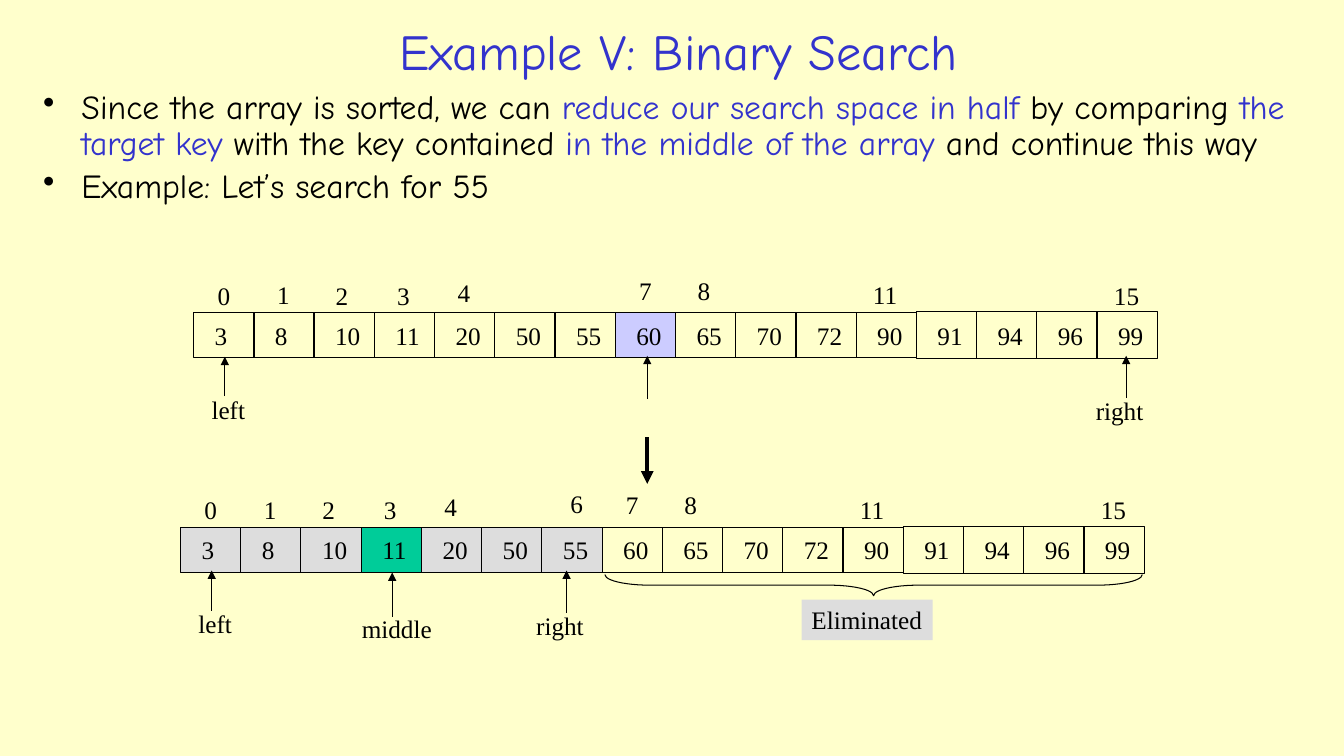
from lxml import etree
from pptx import Presentation
from pptx.dml.color import RGBColor
from pptx.enum import shapes, text
from pptx.oxml.ns import qn
from pptx.util import Inches, Pt

BLACK, BLUE, GRAY, GREEN, LILAC = "000000", "3333CC", "DDDDDD", "00CC99", "CCCCFF"
HEADING_FONT, ARRAY_FONT = "Comic Neue", "Times New Roman"

VALUES = [3, 8, 10, 11, 20, 50, 55, 60, 65, 70, 72, 90, 91, 94, 96, 99]
CELL_WIDTH = 0.6
CELL_PITCH = (10.88 - 1.92) / 15

# Index label positions, measured from the top left corner of an array
INDEX_OFFSETS = {
    0: (0.14, -0.37), 1: (0.73, -0.38), 2: (1.31, -0.37), 3: (1.92, -0.37),
    4: (2.52, -0.4), 6: (3.77, -0.43), 7: (4.32, -0.42), 8: (4.9, -0.42),
    11: (6.64, -0.38), 15: (9.03, -0.37),
}


def color(hex_string):
    return RGBColor.from_string(hex_string)


def add_text(paragraph, content, size, font_name, hex_string=BLACK):
    run = paragraph.add_run()
    run.text = content
    run.font.size = Pt(size)
    run.font.name = font_name
    run.font.color.rgb = color(hex_string)


presentation = Presentation()
presentation.slide_width = Inches(13.33)
presentation.slide_height = Inches(7.5)
slide = presentation.slides.add_slide(presentation.slide_layouts[6])
slide.background.fill.solid()
slide.background.fill.fore_color.rgb = color("FFFFCC")

# Title
title = slide.shapes.add_textbox(Inches(2.25), Inches(0.16), Inches(8.96), Inches(0.67))
title.text_frame.word_wrap = True
title.text_frame.vertical_anchor = text.MSO_ANCHOR.MIDDLE
title_paragraph = title.text_frame.paragraphs[0]
title_paragraph.alignment = text.PP_ALIGN.CENTER
add_text(title_paragraph, "Example V: Binary Search", 36, HEADING_FONT, BLUE)

# Bullets
bullets = [
    [
        ("Since the array is sorted, we can ", BLACK),
        ("reduce our search space in half", BLUE),
        (" by comparing", BLACK),
        (" the target key ", BLUE),
        ("with the key contained", BLACK),
        (" in the middle of the array", BLUE),
        (" and continue this way", BLACK),
    ],
    [("Example: Let’s search for 55", BLACK)],
]
body = slide.shapes.add_textbox(Inches(0.33), Inches(0.85), Inches(12.58), Inches(1.63))
body.text_frame.word_wrap = True
for number, pieces in enumerate(bullets):
    paragraph = body.text_frame.add_paragraph() if number else body.text_frame.paragraphs[0]
    properties = paragraph._p.get_or_add_pPr()
    properties.set("marL", str(Inches(0.38)))
    properties.set("indent", str(-Inches(0.38)))
    etree.SubElement(properties, qn("a:buChar")).set("char", "•")
    paragraph.line_spacing = 0.9
    if number:
        paragraph.space_before = Pt(4.8)
    for content, hex_string in pieces:
        add_text(paragraph, content, 24, HEADING_FONT, hex_string)

# Arrays: left, top, cell fills, indexes shown
arrays = [
    (1.92, 3.1, {7: LILAC}, [0, 1, 2, 3, 4, 7, 8, 11, 15]),
    (1.79, 5.23, {**dict.fromkeys(range(7), GRAY), 3: GREEN},
     [0, 1, 2, 3, 4, 6, 7, 8, 11, 15]),
]
labels = []
for left, top, fills, indexes in arrays:
    for position, value in enumerate(VALUES):
        raised = position >= 12
        cell = slide.shapes.add_shape(
            shapes.MSO_SHAPE.RECTANGLE,
            Inches(left + position * CELL_PITCH), Inches(top - 0.01 * raised),
            Inches(CELL_WIDTH), Inches(0.47 if raised else 0.45))
        cell.shadow.inherit = False
        cell.line.color.rgb = color(BLACK)
        cell.line.width = Pt(0.75)
        if position in fills:
            cell.fill.solid()
            cell.fill.fore_color.rgb = color(fills[position])
        else:
            cell.fill.background()
        frame = cell.text_frame
        frame.margin_left, frame.margin_right = Inches(0.21), 0
        frame.margin_top = frame.margin_bottom = 0
        frame.vertical_anchor = text.MSO_ANCHOR.MIDDLE
        frame.paragraphs[0].alignment = text.PP_ALIGN.LEFT
        add_text(frame.paragraphs[0], str(value), 18, ARRAY_FONT)
    for index in indexes:
        dx, dy = INDEX_OFFSETS[index]
        labels.append((str(index), left + dx, top + dy, 0.33 if index < 10 else 0.45, None))

# Pointer names and the note under the brace
labels += [
    ("left", 2, 3.86, 0.53, None),
    ("right", 10.77, 3.87, 0.67, None),
    ("left", 1.87, 5.99, 0.53, None),
    ("middle", 3.49, 6.04, 0.9, None),
    ("right", 5.22, 6.01, 0.67, None),
    ("Eliminated", 7.95, 5.95, 1.3, GRAY),
]
for content, left, top, width, fill in labels:
    label = slide.shapes.add_textbox(Inches(left), Inches(top), Inches(width), Inches(0.4))
    label.text_frame.word_wrap = False
    if fill:
        label.fill.solid()
        label.fill.fore_color.rgb = color(fill)
    add_text(label.text_frame.paragraphs[0], content, 18, ARRAY_FONT)

# Arrows: x, start y, end y, line width
arrows = [
    (2.23, 3.93, 3.54, 0.75),
    (6.42, 3.96, 3.53, 0.75),
    (11.17, 3.95, 3.53, 0.75),
    (6.42, 4.34, 4.8, 3),
    (2.1, 6.06, 5.66, 0.75),
    (3.89, 6.12, 5.68, 0.75),
    (5.62, 6.08, 5.66, 0.75),
]
for x, start, end, width in arrows:
    arrow = slide.shapes.add_connector(
        shapes.MSO_CONNECTOR.STRAIGHT, Inches(x), Inches(start), Inches(x), Inches(end))
    arrow.line.color.rgb = color(BLACK)
    arrow.line.width = Pt(width)
    etree.SubElement(arrow.line._get_or_add_ln(), qn("a:tailEnd")).set("type", "triangle")
    etree.SubElement(arrow._element.spPr, qn("a:effectLst"))

# Brace under the eliminated half
brace = slide.shapes.add_shape(
    shapes.MSO_SHAPE.LEFT_BRACE, Inches(8.56), Inches(3.14), Inches(0.21), Inches(5.33))
brace.rotation = 270
brace.adjustments[0] = 2.11
brace.adjustments[1] = 0.5
brace.shadow.inherit = False
brace.fill.background()
brace.line.color.rgb = color(BLACK)
brace.line.width = Pt(0.75)

presentation.save("out.pptx")
